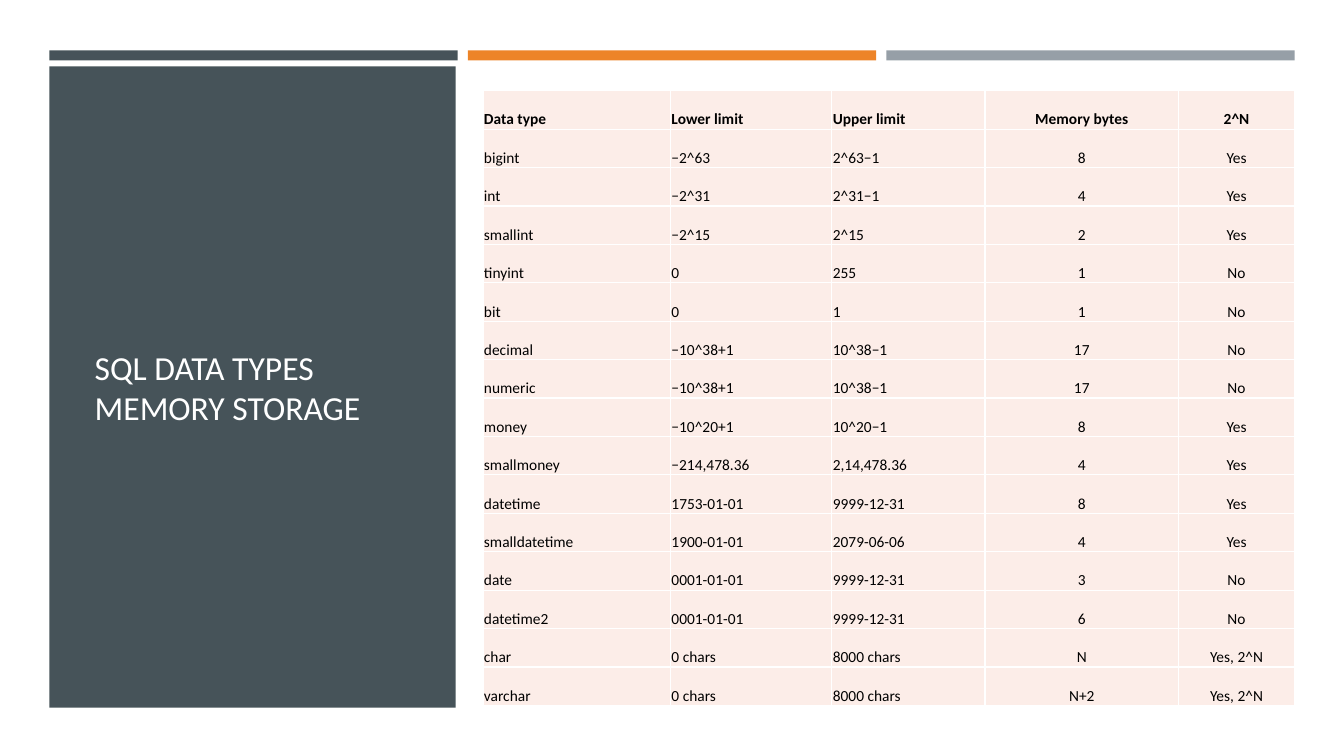
from lxml import etree
from pptx import Presentation
from pptx.dml.color import RGBColor
from pptx.enum.shapes import MSO_SHAPE
from pptx.enum.text import MSO_ANCHOR, PP_ALIGN
from pptx.oxml.ns import qn
from pptx.util import Inches, Pt

RECTANGLE = MSO_SHAPE.RECTANGLE
MIDDLE, BOTTOM = MSO_ANCHOR.MIDDLE, MSO_ANCHOR.BOTTOM
LEFT, CENTER = PP_ALIGN.LEFT, PP_ALIGN.CENTER

FONT = "Calibri"
COLORS = {
    "slate": "465359",
    "orange": "ED8428",
    "gray": "969FA7",
    "cell": "FCEDE8",
    "white": "FFFFFF",
    "black": "000000",
}

COLUMN_WIDTHS = [1.86, 1.6, 1.52, 1.92, 1.15]
COLUMN_ALIGNMENTS = [LEFT, LEFT, LEFT, CENTER, CENTER]
DATA_TYPES = [
    ("Data type", "Lower limit", "Upper limit", "Memory bytes", "2^N"),
    ("bigint", "−2^63", "2^63−1", "8", "Yes"),
    ("int", "−2^31", "2^31−1", "4", "Yes"),
    ("smallint", "−2^15", "2^15", "2", "Yes"),
    ("tinyint", "0", "255", "1", "No"),
    ("bit", "0", "1", "1", "No"),
    ("decimal", "−10^38+1", "10^38−1", "17", "No"),
    ("numeric", "−10^38+1", "10^38−1", "17", "No"),
    ("money", "−10^20+1", "10^20−1", "8", "Yes"),
    ("smallmoney", "−214,478.36", "2,14,478.36", "4", "Yes"),
    ("datetime", "1753-01-01", "9999-12-31", "8", "Yes"),
    ("smalldatetime", "1900-01-01", "2079-06-06", "4", "Yes"),
    ("date", "0001-01-01", "9999-12-31", "3", "No"),
    ("datetime2", "0001-01-01", "9999-12-31", "6", "No"),
    ("char", "0 chars", "8000 chars", "N", "Yes, 2^N"),
    ("varchar", "0 chars", "8000 chars", "N+2", "Yes, 2^N"),
]


def color(name):
    return RGBColor.from_string(COLORS[name])


def add_block(slide, left, top, width, height, fill):
    shape = slide.shapes.add_shape(
        RECTANGLE, Inches(left), Inches(top), Inches(width), Inches(height))
    shape.shadow.inherit = False
    shape.fill.solid()
    shape.fill.fore_color.rgb = color(fill)
    shape.line.fill.background()


def format_runs(paragraph, size, color_name, bold=False):
    for run in paragraph.runs:
        run.font.name = FONT
        run.font.size = Pt(size)
        run.font.bold = bold
        run.font.color.rgb = color(color_name)


def add_top_bars(slide, left, top, width, height):
    """Three equal bars across the given box."""
    gap = 0.1
    names = ["slate", "orange", "gray"]
    bar_width = (width - gap * (len(names) - 1)) / len(names)
    for index, name in enumerate(names):
        add_block(slide, left + index * (bar_width + gap), top,
                  bar_width, height, name)


def add_title_panel(slide, left, top, width, height):
    """Dark panel with the slide title."""
    add_block(slide, left, top, width, height, "slate")
    title = slide.shapes.add_textbox(
        Inches(left + 0.35), Inches(top + 2.24),
        Inches(width - 0.71), Inches(1.88))
    frame = title.text_frame
    frame.word_wrap = True
    frame.vertical_anchor = MIDDLE
    frame.text = "SQL DATA TYPES\vMEMORY STORAGE"
    format_runs(frame.paragraphs[0], 24, "white")


def add_borders(cell):
    properties = cell._tc.get_or_add_tcPr()
    for side in ("a:lnL", "a:lnR", "a:lnT", "a:lnB"):
        line = etree.SubElement(properties, qn(side), w=str(Pt(1)))
        fill = etree.SubElement(line, qn("a:solidFill"))
        etree.SubElement(fill, qn("a:srgbClr"), val=COLORS["white"])


def format_cell(cell, text, alignment, bold):
    add_borders(cell)
    cell.fill.solid()
    cell.fill.fore_color.rgb = color("cell")
    cell.margin_left = cell.margin_right = cell.margin_top = Inches(0.01)
    cell.margin_bottom = 0
    cell.vertical_anchor = BOTTOM
    paragraph = cell.text_frame.paragraphs[0]
    paragraph.text = text
    paragraph.alignment = alignment
    format_runs(paragraph, 11, "black", bold)


def add_data_type_table(slide, left, top, width, height):
    """Limits and storage of each data type."""
    table = slide.shapes.add_table(
        len(DATA_TYPES), len(COLUMN_WIDTHS),
        Inches(left), Inches(top), Inches(width), Inches(height)).table
    table.horz_banding = False
    for column, column_width in zip(table.columns, COLUMN_WIDTHS):
        column.width = Inches(column_width)
    for row_index, values in enumerate(DATA_TYPES):
        table.rows[row_index].height = Inches(height / len(DATA_TYPES))
        for column_index, text in enumerate(values):
            format_cell(table.cell(row_index, column_index), text,
                        COLUMN_ALIGNMENTS[column_index], row_index == 0)


def main():
    presentation = Presentation()
    presentation.slide_width = Inches(13.33)
    presentation.slide_height = Inches(7.5)
    slide = presentation.slides.add_slide(presentation.slide_layouts[6])
    add_top_bars(slide, 0.49, 0.5, 12.35, 0.1)
    add_title_panel(slide, 0.49, 0.66, 4.03, 6.36)
    add_data_type_table(slide, 4.79, 0.9, sum(COLUMN_WIDTHS), 6.1)
    presentation.save("out.pptx")


if __name__ == "__main__":
    main()
